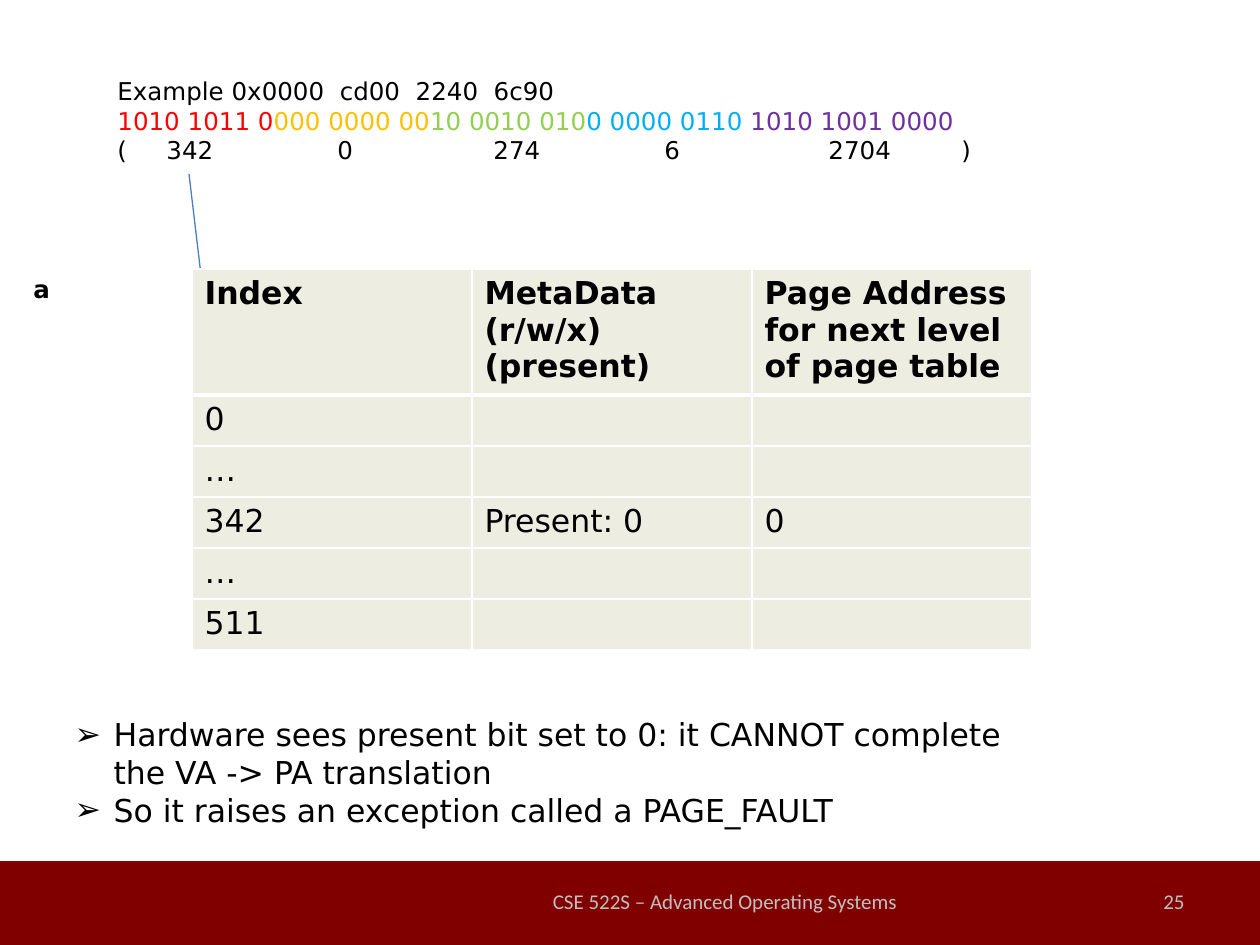
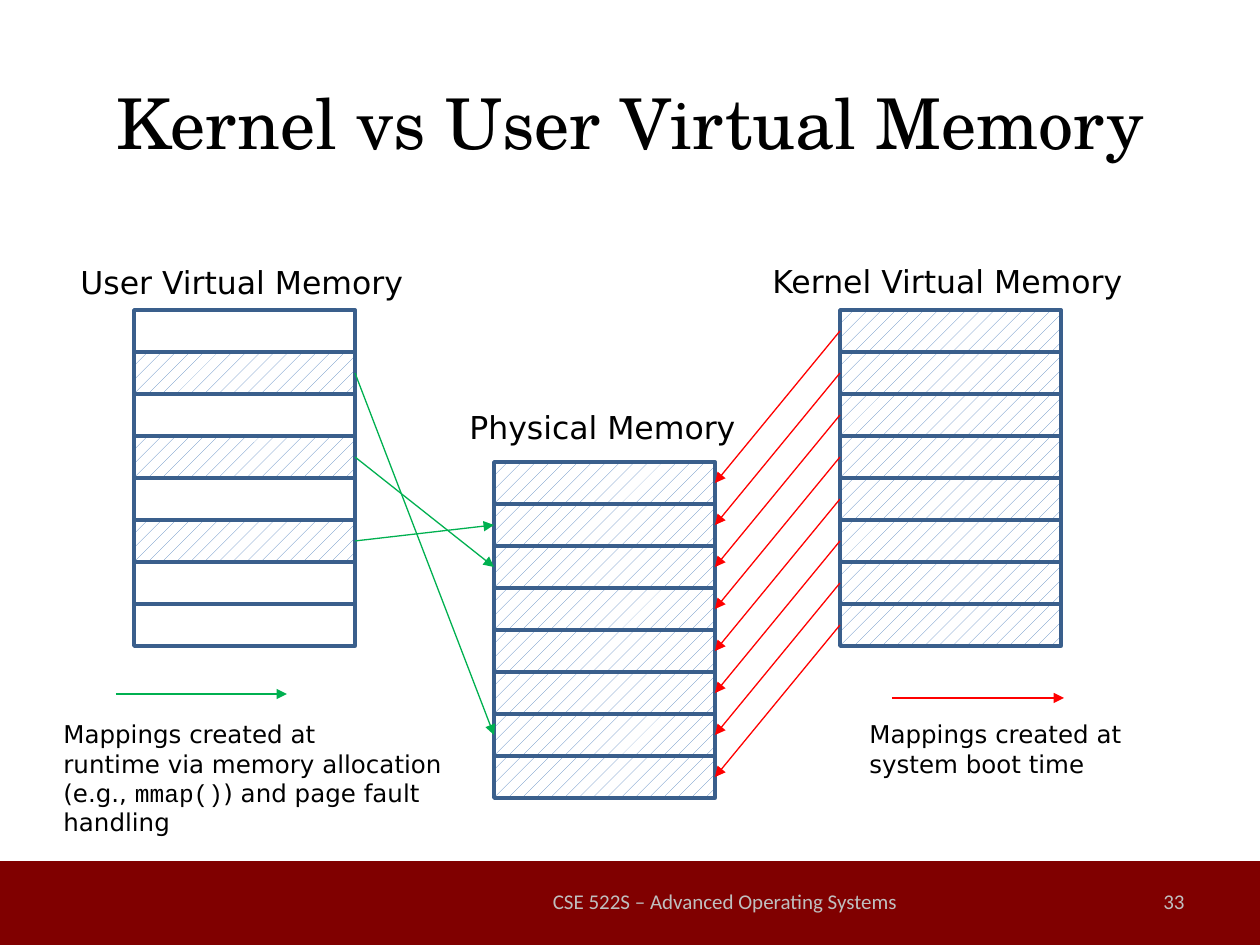
import lxml.etree
import pptx
import pptx.util
import pptx.dml.color
import pptx.enum.dml
import pptx.enum.shapes
import pptx.enum.text
import pptx.oxml.ns
from dataclasses import dataclass

ALIGN = pptx.enum.text.PP_ALIGN
ANCHOR = pptx.enum.text.MSO_ANCHOR
RECTANGLE = pptx.enum.shapes.MSO_SHAPE.RECTANGLE
qn = pptx.oxml.ns.qn


@dataclass(frozen=True)
class Theme:
    text_font: str = "DejaVu Sans"
    title_font: str = "TeX Gyre Schola"
    footer_font: str = "Calibri"
    code_font: str = "Courier New"
    black: str = "000000"
    white: str = "FFFFFF"
    band: str = "800000"
    footer: str = "BFBFBF"
    cell: str = "EEEDE2"
    hatch: str = "4F81BD"
    outline: str = "3A5F8C"
    pointer: str = "4B7EBC"
    runtime: str = "00B050"
    boot: str = "FF0000"
    title_size: int = 40
    large: int = 18
    small: int = 14
    footer_size: int = 12


THEME = Theme()

# ---- Content; all lengths in px, 126 to the inch ----
SLIDE_SIZE = (1260, 945)
BAND = (0, 861, 1260, 84)
FOOTER_TEXT = "CSE 522S – Advanced Operating Systems"
FOOTER_BOX = (525, 876, 400, 50)
NUMBER_BOX = (903, 876, 294, 50)

ADDRESS = "Example 0x0000  cd00  2240  6c90"
ADDRESS_BITS = [
    ("1010 1011 0", "FF0000"),
    ("000 0000 00", "FFC000"),
    ("10 0010 010", "92D050"),
    ("0 0000 0110 ", "00B0F0"),
    ("1010 1001 0000", "7030A0"),
]
ADDRESS_INDEXES = ["(", "342", "0", "274", "6", "2704", ")"]
INDEX_TABS = [49, 220, 376, 547, 711, 844]
PAGE_TABLE = [
    ("Index", "MetaData\v(r/w/x)\n(present)", "Page Address for next level of page table"),
    ("0", "", ""),
    ("…", "", ""),
    ("342", "Present: 0", "0"),
    ("…", "", ""),
    ("511", "", ""),
]
FAULT_POINTS = [
    "Hardware sees present bit set to 0: it CANNOT complete \vthe VA -> PA translation",
    "So it raises an exception called a PAGE_FAULT",
]

MEMORY_TITLE = "Kernel vs User Virtual Memory"
FRAME_COUNT, FRAME_WIDTH, FRAME_HEIGHT = 8, 221, 42
MEMORIES = {  # name: (label box, left, top, hatched frames)
    "User Virtual Memory": ((68, 257, 353, 50), 134, 310, {1, 3, 5}),
    "Physical Memory": ((457, 402, 292, 50), 494, 462, set(range(8))),
    "Kernel Virtual Memory": ((760, 256, 382, 50), 840, 310, set(range(8))),
}
USER_MAPPINGS = [(1, 6), (3, 2), (5, 1)]
KERNEL_MAPPINGS = [(frame, frame) for frame in range(FRAME_COUNT)]
LEGENDS = [  # arrow start, arrow end, colour, text box, text pieces
    ((116, 694), (287, 694), THEME.runtime, (51, 713, 407, 131),
     [("Mappings created at \vruntime via memory allocation\v(e.g., ", {}),
      ("mmap()", {"font": THEME.code_font}),
      (") and page fault\vhandling", {})]),
    ((892, 698), (1064, 698), THEME.boot, (857, 713, 286, 72),
     [("Mappings created at \vsystem boot time", {})]),
]


# ---- Helpers ----
def px(length):
    return pptx.util.Emu(round(length * 914400 / 126))


def rgb(value):
    return pptx.dml.color.RGBColor.from_string(value)


def add_xml(parent, tag, **attributes):
    return lxml.etree.SubElement(parent, qn(tag), attributes)


def place(shape, box):
    shape.left, shape.top, shape.width, shape.height = map(px, box)


def style_run(run, size=THEME.large, font=THEME.text_font, color=THEME.black, bold=False):
    run.font.size = pptx.util.Pt(size)
    run.font.name = font
    run.font.color.rgb = rgb(color)
    run.font.bold = bold


def style_text(text_frame, align=None, **style):
    for paragraph in text_frame.paragraphs:
        if align is not None:
            paragraph.alignment = align
        for run in paragraph.runs:
            style_run(run, **style)


def add_pieces(paragraph, pieces, **style):
    """Append differently styled pieces; \\v inside a piece breaks the line."""
    for text, changes in pieces:
        for number, line in enumerate(text.split("\v")):
            if number:
                paragraph.add_line_break()
            run = paragraph.add_run()
            run.text = line
            style_run(run, **{**style, **changes})


def add_text(slide, box, text="", wrap=True, anchor=ANCHOR.TOP, **style):
    text_frame = slide.shapes.add_textbox(*map(px, box)).text_frame
    text_frame.word_wrap = wrap
    text_frame.vertical_anchor = anchor
    text_frame.text = text
    style_text(text_frame, **style)
    return text_frame


def add_rectangle(slide, box):
    shape = slide.shapes.add_shape(RECTANGLE, *map(px, box))
    shape.shadow.inherit = False
    return shape


def add_line(slide, color, start=(0, 0), end=(0, 0), head="triangle"):
    connector = slide.shapes.add_connector(
        pptx.enum.shapes.MSO_CONNECTOR.STRAIGHT, *map(px, start + end))
    connector.line.color.rgb = rgb(color)
    connector.line.width = pptx.util.Pt(0.75)
    properties = connector.element.spPr
    add_xml(properties.find(qn("a:ln")), "a:tailEnd", type=head)
    add_xml(properties, "a:effectLst")
    return connector


def add_band_to_master(presentation, slide):
    band = add_rectangle(slide, BAND)
    band.fill.solid()
    band.fill.fore_color.rgb = rgb(THEME.band)
    band.line.fill.background()
    band.element.nvSpPr.cNvPr.set("id", "20")
    presentation.slide_master.element.cSld.spTree.insert(2, band.element)


def add_footer(slide, number):
    style = dict(anchor=ANCHOR.MIDDLE, size=THEME.footer_size,
                 font=THEME.footer_font, color=THEME.footer)
    add_text(slide, NUMBER_BOX, number, align=ALIGN.RIGHT, **style)
    add_text(slide, FOOTER_BOX, FOOTER_TEXT, align=ALIGN.CENTER, **style)


# ---- Page fault slide ----
def add_address(slide):
    text_frame = add_text(slide, (105, 70, 1155, 103), ADDRESS, size=THEME.small)
    bits = text_frame.add_paragraph()
    add_pieces(bits, [(text, {"color": color}) for text, color in ADDRESS_BITS],
               size=THEME.small)
    indexes = text_frame.add_paragraph()
    indexes.text = "\t".join(ADDRESS_INDEXES)
    style_run(indexes.runs[0], size=THEME.small)
    tabs = add_xml(indexes._p.get_or_add_pPr(), "a:tabLst")
    for position in INDEX_TABS:
        add_xml(tabs, "a:tab", pos=str(px(position)), algn="l")


def format_cell(cell, text, header):
    properties = cell._tc.get_or_add_tcPr()
    for side in "LRTB":
        points = 3 if header and side == "B" else 1
        border = add_xml(properties, f"a:ln{side}", w=str(pptx.util.Pt(points)))
        add_xml(add_xml(border, "a:solidFill"), "a:srgbClr", val=THEME.white)
    cell.fill.solid()
    cell.fill.fore_color.rgb = rgb(THEME.cell)
    cell.text_frame.text = text
    style_text(cell.text_frame, bold=header)


def add_page_table(slide):
    column_width, header_height, row_height = 280, 126, 51
    columns, rows = len(PAGE_TABLE[0]), len(PAGE_TABLE)
    box = (192, 269, columns * column_width, header_height + (rows - 1) * row_height)
    table = slide.shapes.add_table(rows, columns, *map(px, box)).table
    table.horz_banding = False
    for row_number, texts in enumerate(PAGE_TABLE):
        header = row_number == 0
        table.rows[row_number].height = px(header_height if header else row_height)
        for column_number, text in enumerate(texts):
            format_cell(table.cell(row_number, column_number), text, header)


def add_fault_points(slide):
    body = slide.placeholders[1]
    place(body, (62, 709, 1155, 127))
    text_frame = body.text_frame
    text_frame.auto_size = pptx.enum.text.MSO_AUTO_SIZE.NONE
    text_frame.text = "\n".join(FAULT_POINTS)
    style_text(text_frame)
    for paragraph in text_frame.paragraphs:
        paragraph.space_before = pptx.util.Pt(0)
        properties = paragraph._p.get_or_add_pPr()
        properties.set("marL", str(px(39)))
        properties.set("indent", str(px(-39)))
        add_xml(properties, "a:buChar", char="➢")


def build_page_fault(slide):
    title = slide.shapes.title.element
    title.getparent().remove(title)
    add_text(slide, (21, 268, 38, 43), "a", size=THEME.small, bold=True)
    add_address(slide)
    add_line(slide, THEME.pointer, (189, 174), (227, 494), head="arrow")
    add_page_table(slide)
    add_fault_points(slide)
    add_footer(slide, "25")


# ---- Memory mapping slide ----
def add_memory(slide, name):
    label_box, left, top, hatched = MEMORIES[name]
    add_text(slide, label_box, name, wrap=False)
    frames = []
    for number in range(FRAME_COUNT):
        frame = add_rectangle(
            slide, (left, top + number * FRAME_HEIGHT, FRAME_WIDTH, FRAME_HEIGHT))
        if number in hatched:
            frame.fill.patterned()
            frame.fill.pattern = pptx.enum.dml.MSO_PATTERN.PERCENT_10
            frame.fill.fore_color.rgb = rgb(THEME.hatch)
            frame.fill.back_color.rgb = rgb(THEME.white)
        else:
            frame.fill.background()
        frame.line.color.rgb = rgb(THEME.outline)
        frame.line.width = pptx.util.Pt(2)
        frames.append(frame)
    return frames


def add_mappings(slide, mappings, sources, source_side, targets, target_side, color):
    for source, target in mappings:
        arrow = add_line(slide, color)
        arrow.begin_connect(sources[source], source_side)
        arrow.end_connect(targets[target], target_side)


def build_memory_map(slide):
    title = slide.shapes.title
    place(title, (63, 42, 1134, 158))
    title.text_frame.text = MEMORY_TITLE
    title.text_frame.vertical_anchor = ANCHOR.MIDDLE
    style_text(title.text_frame, ALIGN.CENTER, size=THEME.title_size, font=THEME.title_font)

    user, physical, kernel = [add_memory(slide, name) for name in MEMORIES]
    add_mappings(slide, KERNEL_MAPPINGS, kernel, 1, physical, 3, THEME.boot)
    add_mappings(slide, USER_MAPPINGS, user, 3, physical, 1, THEME.runtime)

    for start, end, color, box, pieces in LEGENDS:
        add_line(slide, color, start, end)
        text_frame = add_text(slide, box, wrap=False)
        add_pieces(text_frame.paragraphs[0], pieces, size=THEME.small)
    add_footer(slide, "33")


def main():
    presentation = pptx.Presentation()
    presentation.slide_width, presentation.slide_height = map(px, SLIDE_SIZE)
    layouts = presentation.slide_layouts
    fault_slide = presentation.slides.add_slide(layouts.get_by_name("Title and Content"))
    add_band_to_master(presentation, fault_slide)
    build_page_fault(fault_slide)
    build_memory_map(presentation.slides.add_slide(layouts.get_by_name("Title Only")))
    presentation.save("out.pptx")


if __name__ == "__main__":
    main()
